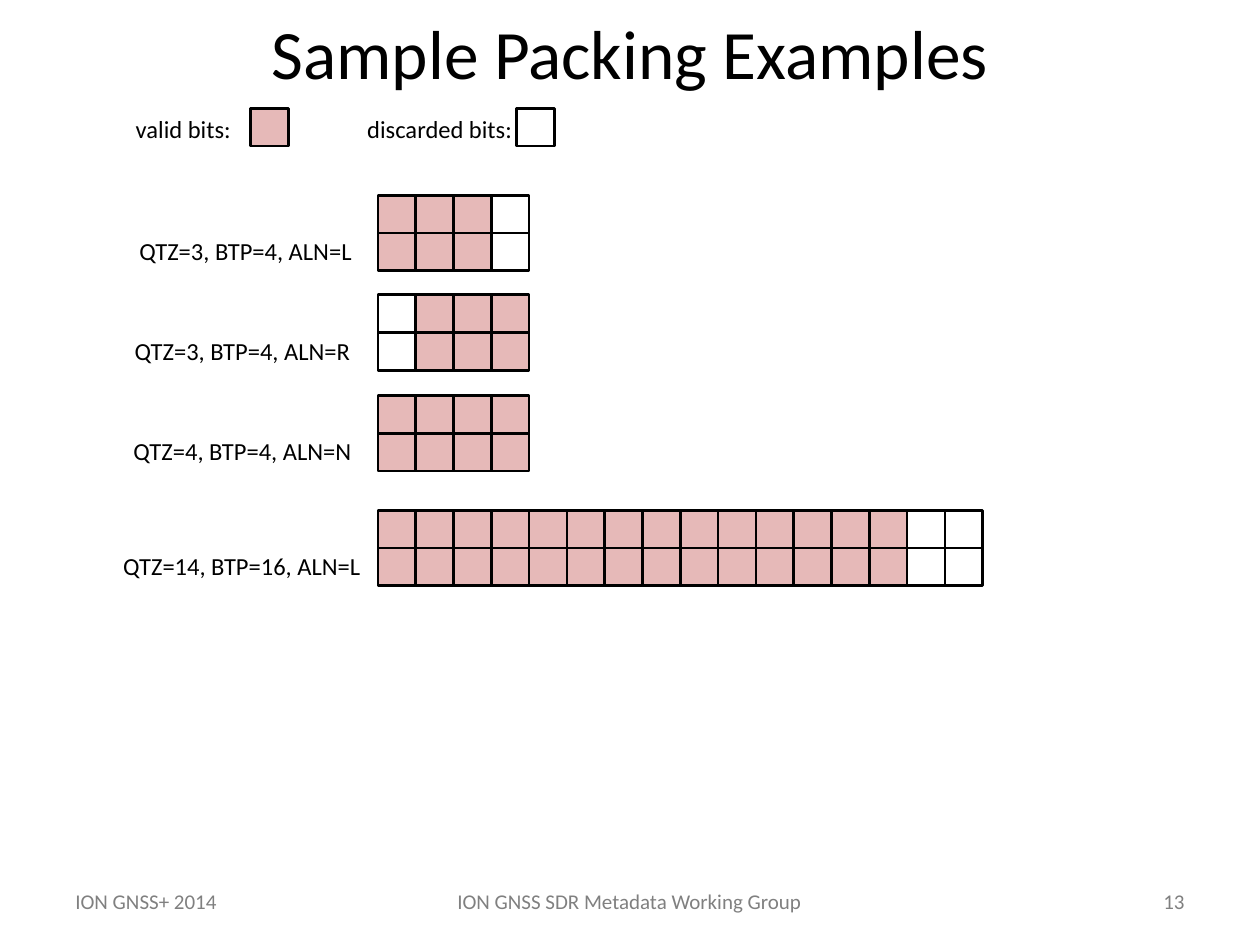
from pptx import Presentation
from pptx import util as u
from pptx.dml.color import RGBColor
from pptx.enum import shapes, text

BLACK = RGBColor(0x00, 0x00, 0x00)
GRAY = RGBColor(0x80, 0x80, 0x80)
PINK = RGBColor(0xE6, 0xB9, 0xB8)

LEFT = text.PP_ALIGN.LEFT
MID = text.PP_ALIGN.CENTER
RIGHT = text.PP_ALIGN.RIGHT

SCALE = 9144
CELL = 30
GRID = 300
DROP = 27

title = "Sample Packing Examples"
footer = [
    ("ION GNSS+ 2014", 50, 133, LEFT),
    ("ION GNSS SDR Metadata Working Group", 349, 301, MID),
    ("13", 867, 83, RIGHT),
]
legend = [
    ("valid bits:", 97, 97, 199, True),
    ("discarded bits:", 281, 136, 410, False),
]
packs = [
    ("QTZ=3, BTP=4, ALN=L", 100, 190, 155, "1110"),
    ("QTZ=3, BTP=4, ALN=R", 96, 193, 234, "0111"),
    ("QTZ=4, BTP=4, ALN=N", 95, 195, 314, "1111"),
    ("QTZ=14, BTP=16, ALN=L", 87, 210, 405, "1" * 14 + "00"),
]


def px(n):
    return u.Emu(n * SCALE)


def label(words, x, y, w, h, size, color=BLACK, align=MID, wrap=True):
    box = slide.shapes.add_textbox(px(x), px(y), px(w), px(h))
    frame = box.text_frame
    frame.word_wrap = wrap
    frame.vertical_anchor = text.MSO_ANCHOR.MIDDLE
    para = frame.paragraphs[0]
    para.alignment = align
    run = para.add_run()
    run.text = words
    run.font.name = "Calibri"
    run.font.size = u.Pt(size)
    run.font.color.rgb = color


def bit(x, y, valid):
    cell = slide.shapes.add_shape(
        shapes.MSO_SHAPE.RECTANGLE, px(x), px(y), px(CELL), px(CELL))
    cell.shadow.inherit = False
    if valid:
        cell.fill.solid()
        cell.fill.fore_color.rgb = PINK
    else:
        cell.fill.background()
    cell.line.color.rgb = BLACK
    cell.line.width = u.Pt(1.5)


deck = Presentation()
deck.slide_width = px(1000)
deck.slide_height = px(750)
slide = deck.slides.add_slide(deck.slide_layouts[6])

for words, x, w, align in footer:
    label(words, x, 700, w, 30, 12, GRAY, align)

label(title, 50, 8, 900, 67, 39.6)

for words, x, w, spot, valid in legend:
    bit(spot, 86, valid)
    label(words, x, 85, w, 34, 14, wrap=False)

for words, x, w, top, bits in packs:
    label(words, x, top + DROP, w, 34, 14, wrap=False)
    for row in range(2):
        for col, flag in enumerate(bits):
            bit(GRID + col * CELL, top + row * CELL, flag == "1")

deck.save("out.pptx")
